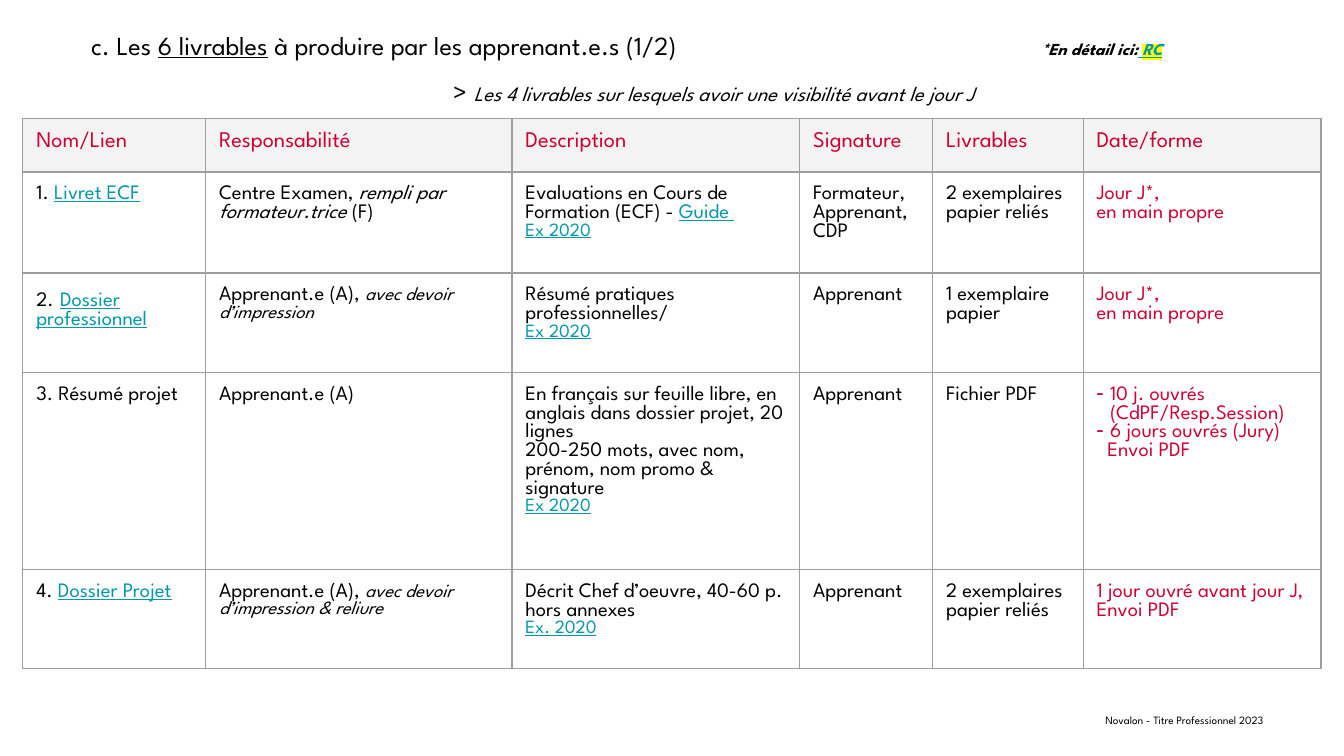
from dataclasses import dataclass

import pptx
import pptx.dml.color
import pptx.enum.text
import pptx.oxml
import pptx.oxml.ns
import pptx.util

Inches = pptx.util.Inches
Align = pptx.enum.text.PP_ALIGN
HUES = {"ink": "000000", "red": "CE0033", "link": "0097A7",
        "head": "F3F3F3", "line": "9E9E9E", "mark": "FFFF00"}
FACE = "League Spartan"
NS = pptx.oxml.ns.nsdecls("a")


@dataclass
class Run:
    text: str
    size: float = 11
    hue: str = "ink"
    bold: bool = False
    slant: bool = False
    under: bool = False
    face: str = FACE
    mark: bool = False


@dataclass
class Para:
    runs: list[Run]
    dash: bool = False
    indent: float = 0


def line(text: str, hue: str = "ink", size: float = 11, **more) -> Para:
    return Para([Run(text, size, hue)], **more)


def link(text: str, size: float = 11) -> Run:
    return Run(text, size, "link", under=True)


def task(text: str) -> list[Para]:
    """Cell of a learner who also has to print."""
    return [Para([Run("Apprenant.e (A), "), Run(text, 10, slant=True)])]


def sample(text: str) -> Para:
    return Para([link(text, 10)])


def hand() -> list[Para]:
    return [line("Jour J*,", "red"), line("en main propre", "red")]


def color(hue: str) -> pptx.dml.color.RGBColor:
    return pptx.dml.color.RGBColor.from_string(HUES[hue])


def style(font, run: Run) -> None:
    font.name = run.face
    font.size = pptx.util.Pt(run.size)
    font.bold, font.italic, font.underline = run.bold, run.slant, run.under
    font.color.rgb = color(run.hue)


def element(xml: str):
    return pptx.oxml.parse_xml(xml)


def write(frame, paras: list[Para]) -> None:
    frame.word_wrap = True
    for i, para in enumerate(paras):
        item = frame.paragraphs[0] if i == 0 else frame.add_paragraph()
        props = item._p.get_or_add_pPr()
        if para.indent:
            props.set("marL", str(Inches(para.indent)))
        if para.dash:
            props.set("indent", str(-Inches(para.indent)))
            props.append(element(f'<a:buClr {NS}><a:srgbClr val="{HUES["red"]}"/></a:buClr>'))
            props.append(element(f'<a:buChar {NS} char="-"/>'))
        alone = len(para.runs) == 1
        if alone:
            style(item.font, para.runs[0])
        for run in para.runs:
            part = item.add_run()
            part.text = run.text
            if not alone:
                style(part.font, run)
            if run.mark:
                fill = part.font._element.find(pptx.oxml.ns.qn("a:solidFill"))
                fill.addnext(element(f'<a:highlight {NS}><a:srgbClr val="{HUES["mark"]}"/></a:highlight>'))


def add_text(slide, spot: tuple, inset: float, paras: list[Para]):
    frame = slide.shapes.add_textbox(*map(Inches, spot)).text_frame
    frame.margin_left = frame.margin_right = Inches(inset)
    frame.margin_top = frame.margin_bottom = Inches(inset)
    write(frame, paras)
    return frame


def add_grid(slide, left: float, top: float, side: float, cols: list[float],
             rows: list[float], cells: list) -> None:
    """Rows and columns set the drawn size; side is that of the frame."""
    frame = slide.shapes.add_table(
        len(rows), len(cols), Inches(left), Inches(top),
        Inches(side), Inches(side))
    grid = frame.table
    grid.first_row = grid.horz_banding = False
    for col, width in zip(grid.columns, cols):
        col.width = Inches(width)
    for r, height in enumerate(rows):
        grid.rows[r].height = Inches(height)
        for c, paras in enumerate(cells[r]):
            cell = grid.cell(r, c)
            cell.margin_left = cell.margin_right = Inches(0.1)
            cell.margin_top = cell.margin_bottom = Inches(0.1)
            write(cell.text_frame, paras)
            for edge in "LRTB":
                cell._tc.get_or_add_tcPr().append(element(
                    f'<a:ln{edge} {NS} w="{pptx.util.Pt(0.75)}"><a:solidFill>'
                    f'<a:srgbClr val="{HUES["line"]}"/></a:solidFill></a:ln{edge}>'))
            if r == 0:
                cell.fill.solid()
                cell.fill.fore_color.rgb = color("head")
            else:
                cell.fill.background()
    frame.width = frame.height = Inches(side)


HEADS = ["Nom/Lien", "Responsabilité", "Description",
         "Signature", "Livrables", "Date/forme"]
CELLS = [
    [[line(head, "red", 12)] for head in HEADS],
    [[Para([Run("1. "), link("Livret ECF")])],
     [Para([Run("Centre Examen, "),
            Run("rempli par formateur.trice ", slant=True), Run("(F)")])],
     [Para([Run("Evaluations en Cours de Formation (ECF) - "), link("Guide ")]),
      sample("Ex 2020")],
     [line("Formateur, Apprenant, CDP")],
     [line("2 exemplaires papier reliés")],
     hand()],
    [[Para([Run("2."), Run(" ", 12, face="Arial"), link("Dossier professionnel")])],
     task("avec devoir d’impression"),
     [line("Résumé pratiques professionnelles/"), sample("Ex 2020")],
     [line("Apprenant")],
     [line("1 exemplaire papier")],
     hand()],
    [[line("3. Résumé projet")],
     [line("Apprenant.e (A)")],
     [line("En français sur feuille libre, en anglais dans dossier projet, 20 lignes"),
      line("200-250 mots, avec nom, prénom, nom promo & signature"),
      sample("Ex 2020")],
     [line("Apprenant")],
     [line("Fichier PDF")],
     [line("10 j. ouvrés (CdPF/Resp.Session)", "red", dash=True, indent=0.1),
      line("6 jours ouvrés (Jury)", "red", dash=True, indent=0.1),
      line("Envoi PDF", "red", indent=0.08)]],
    [[Para([Run("4. "), link("Dossier Projet")])],
     task("avec devoir d’impression & reliure"),
     [line("Décrit Chef d’oeuvre, 40-60 p. hors annexes"), sample("Ex. 2020")],
     [line("Apprenant")],
     [line("2 exemplaires papier reliés")],
     [line("1 jour ouvré avant jour J,", "red"), line("Envoi PDF", "red")]],
]


def main() -> None:
    deck = pptx.Presentation()
    deck.slide_width = Inches(10)
    deck.slide_height = deck.slide_width * 9 // 16
    slide = deck.slides.add_slide(deck.slide_layouts[6])

    foot = add_text(slide, (4.87, 5.31, 4.95, 0.31), 0,
                    [line("Novalon - Titre Professionnel 2023", size=6)])
    foot.margin_right = Inches(0.42)
    foot.paragraphs[0].alignment = Align.RIGHT

    add_grid(slide, 0.17, 0.88, 3.28, [1.36, 2.28, 2.14, 0.99, 1.12, 1.77],
             [0.4, 0.74, 0.74, 1.33, 0.7], CELLS)

    title = add_text(slide, (0.58, 0.12, 9.42, 0.68), 0.1, [
        Para([Run("c. Les ", 14), Run("6 livrables", 14, under=True),
              Run(" à produire par les apprenant.e.s (1/2)\t", 14),
              Run("*En détail ici:", 9, bold=True, slant=True),
              Run(" ", 9, "link", True, True, True),
              Run("RC", 9, "link", True, True, True, mark=True)]),
        Para([Run(" > ", 14),
              Run("Les 4 livrables sur lesquels avoir une visibilité avant le jour J",
                  slant=True)])])
    first, second = title.paragraphs
    first._p.get_or_add_pPr().append(element(
        f'<a:tabLst {NS}><a:tab pos="{Inches(7.07)}" algn="l"/></a:tabLst>'))
    second.alignment = Align.CENTER
    second.line_spacing = 1.15
    second.space_before, second.space_after = pptx.util.Pt(5), pptx.util.Pt(6)
    deck.save("out.pptx")


if __name__ == "__main__":
    main()
